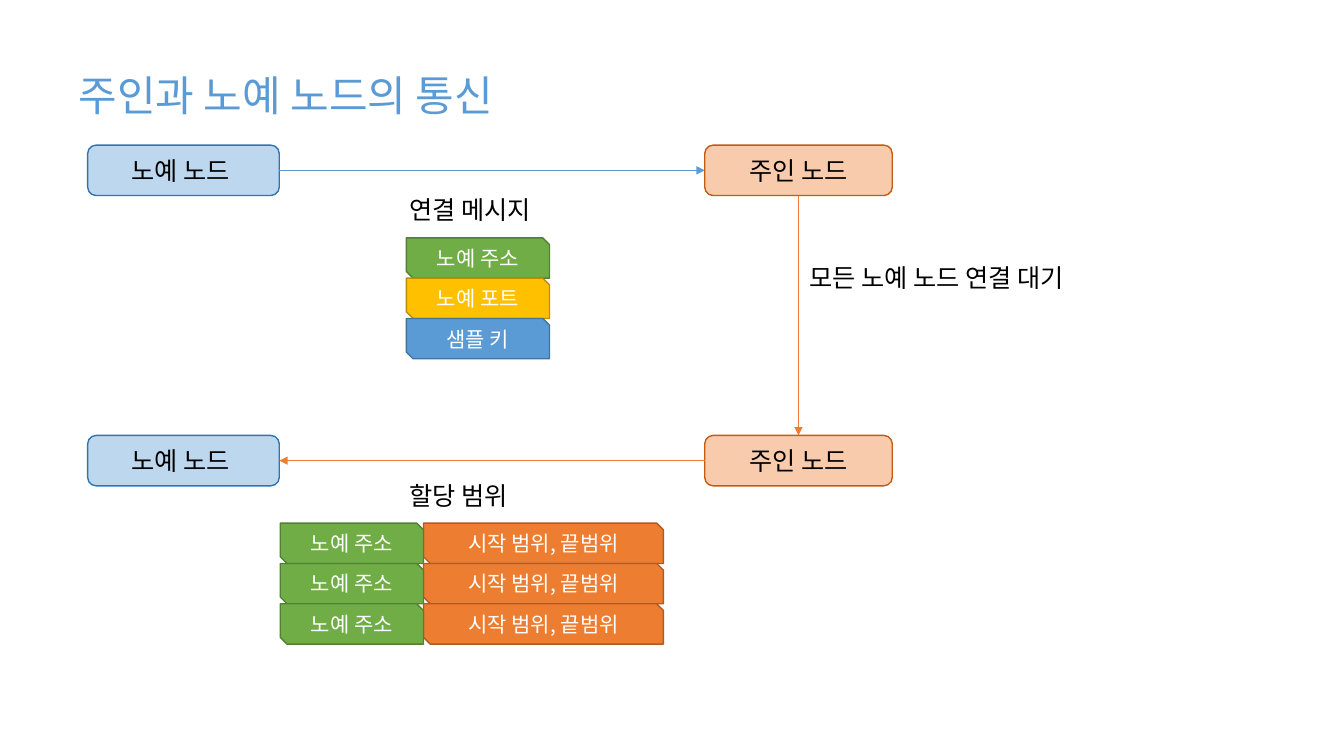
from lxml import etree
from pptx import Presentation
from pptx.dml.color import RGBColor
from pptx.enum.shapes import MSO_CONNECTOR, MSO_SHAPE
from pptx.enum.text import MSO_ANCHOR, MSO_AUTO_SIZE, PP_ALIGN
from pptx.oxml.ns import qn
from pptx.util import Inches, Pt

ROUND, SNIP = MSO_SHAPE.ROUNDED_RECTANGLE, MSO_SHAPE.SNIP_2_DIAG_RECTANGLE
STRAIGHT = MSO_CONNECTOR.STRAIGHT
LEFT, CENTER = PP_ALIGN.LEFT, PP_ALIGN.CENTER
MIDDLE, GROW = MSO_ANCHOR.MIDDLE, MSO_AUTO_SIZE.SHAPE_TO_FIT_TEXT
TOP_SITE, LEFT_SITE, BOTTOM_SITE, RIGHT_SITE = range(4)

FONT = "Noto Sans CJK KR"
BLACK = RGBColor(0x00, 0x00, 0x00)
WHITE = RGBColor(0xFF, 0xFF, 0xFF)
BLUE = RGBColor(0x5B, 0x9B, 0xD5)
ORANGE = RGBColor(0xED, 0x7D, 0x31)
SLAVE_COLORS = RGBColor(0xBD, 0xD7, 0xEE), RGBColor(0x2E, 0x75, 0xB6)
MASTER_COLORS = RGBColor(0xF8, 0xCB, 0xAD), RGBColor(0xC5, 0x5A, 0x11)
ADDRESS_COLORS = RGBColor(0x70, 0xAD, 0x47), RGBColor(0x53, 0x80, 0x35)
PORT_COLORS = RGBColor(0xFF, 0xC0, 0x00), RGBColor(0xBD, 0x8E, 0x00)
KEY_COLORS = BLUE, RGBColor(0x43, 0x73, 0x9E)
RANGE_COLORS = ORANGE, RGBColor(0xAF, 0x5C, 0x24)

SLAVE_X, MASTER_X = 0.87, 6.99
SLAVE_W, MASTER_W, NODE_H = 1.9, 1.86, 0.5
CONNECT_Y, ASSIGN_Y = 1.44, 4.32
MESSAGE_X, MESSAGE_Y = 4.03, 2.36
TABLE_X, TABLE_Y = 2.78, 5.19
FIELD_W, RANGE_W, FIELD_H = 1.42, 2.38, 0.4


def write(holder, text, size, color, align):
    frame = holder.text_frame
    frame.text = text
    frame.vertical_anchor = MIDDLE
    frame.paragraphs[0].alignment = align
    font = frame.paragraphs[0].runs[0].font
    for name, value in {"size": Pt(size), "name": FONT}.items():
        setattr(font, name, value)
    font.color.rgb = color
    etree.SubElement(font._element, qn("a:ea"), typeface=FONT)


def add_box(parent, kind, area, text, colors, size, text_color):
    box = parent.shapes.add_shape(kind, *map(Inches, area))
    box.shadow.inherit = False
    box.fill.solid()
    box.fill.fore_color.rgb, box.line.color.rgb = colors
    box.line.width = Pt(1)
    write(box, text, size, text_color, CENTER)
    return box


prs = Presentation()
prs.slide_width, prs.slide_height = Inches(13.33), Inches(7.5)
slide = prs.slides.add_slide(prs.slide_layouts[5])

title = slide.shapes.title
title_area = {"left": 0.68, "top": 0.63, "width": 4.85, "height": 0.61}
for name, value in title_area.items():
    setattr(title, name, Inches(value))
write(title, "주인과 노예 노드의 통신", 30, BLUE, LEFT)
title.text_frame.word_wrap = False
title.text_frame.auto_size = GROW

message = slide.shapes.add_group_shape()
message_fields = [("노예 주소", ADDRESS_COLORS), ("노예 포트", PORT_COLORS), ("샘플 키", KEY_COLORS)]
for row, (text, colors) in enumerate(message_fields):
    area = MESSAGE_X, MESSAGE_Y + row * FIELD_H, FIELD_W, FIELD_H
    add_box(message, SNIP, area, text, colors, 15, WHITE)

slaves, masters = [], []
for y in (CONNECT_Y, ASSIGN_Y):
    slaves.append(add_box(slide, ROUND, (SLAVE_X, y, SLAVE_W, NODE_H),
                          "노예 노드 ", SLAVE_COLORS, 18, BLACK))
    masters.append(add_box(slide, ROUND, (MASTER_X, y, MASTER_W, NODE_H),
                           "주인 노드", MASTER_COLORS, 18, BLACK))

for sender, exit_site, receiver, entry_site, color in [
    (slaves[0], RIGHT_SITE, masters[0], LEFT_SITE, BLUE),
    (masters[0], BOTTOM_SITE, masters[1], TOP_SITE, ORANGE),
    (masters[1], LEFT_SITE, slaves[1], RIGHT_SITE, ORANGE),
]:
    arrow = slide.shapes.add_connector(STRAIGHT, 0, 0, 0, 0)
    arrow.begin_connect(sender, exit_site)
    arrow.end_connect(receiver, entry_site)
    arrow.line.color.rgb = color
    arrow.line.width = Pt(0.5)
    etree.SubElement(arrow.line._get_or_add_ln(), qn("a:tailEnd"), type="triangle")
    etree.SubElement(arrow._element.spPr, qn("a:effectLst"))

for text, x, y, width in [
    ("연결 메시지", 3.96, 1.88, 1.84),
    ("모든 노예 노드 연결 대기", 7.93, 2.55, 3.15),
    ("할당 범위", 3.96, 4.72, 1.84),
]:
    label = slide.shapes.add_textbox(*map(Inches, (x, y, width, FIELD_H)))
    write(label, text, 18, BLACK, LEFT)
    label.text_frame.word_wrap = True
    label.text_frame.auto_size = GROW

assignments = slide.shapes.add_group_shape()
for row in range(3):
    y = TABLE_Y + row * FIELD_H
    add_box(assignments, SNIP, (TABLE_X + FIELD_W, y, RANGE_W, FIELD_H),
            "시작 범위, 끝범위", RANGE_COLORS, 15, WHITE)
    add_box(assignments, SNIP, (TABLE_X, y, FIELD_W, FIELD_H),
            "노예 주소", ADDRESS_COLORS, 15, WHITE)

prs.save("out.pptx")
